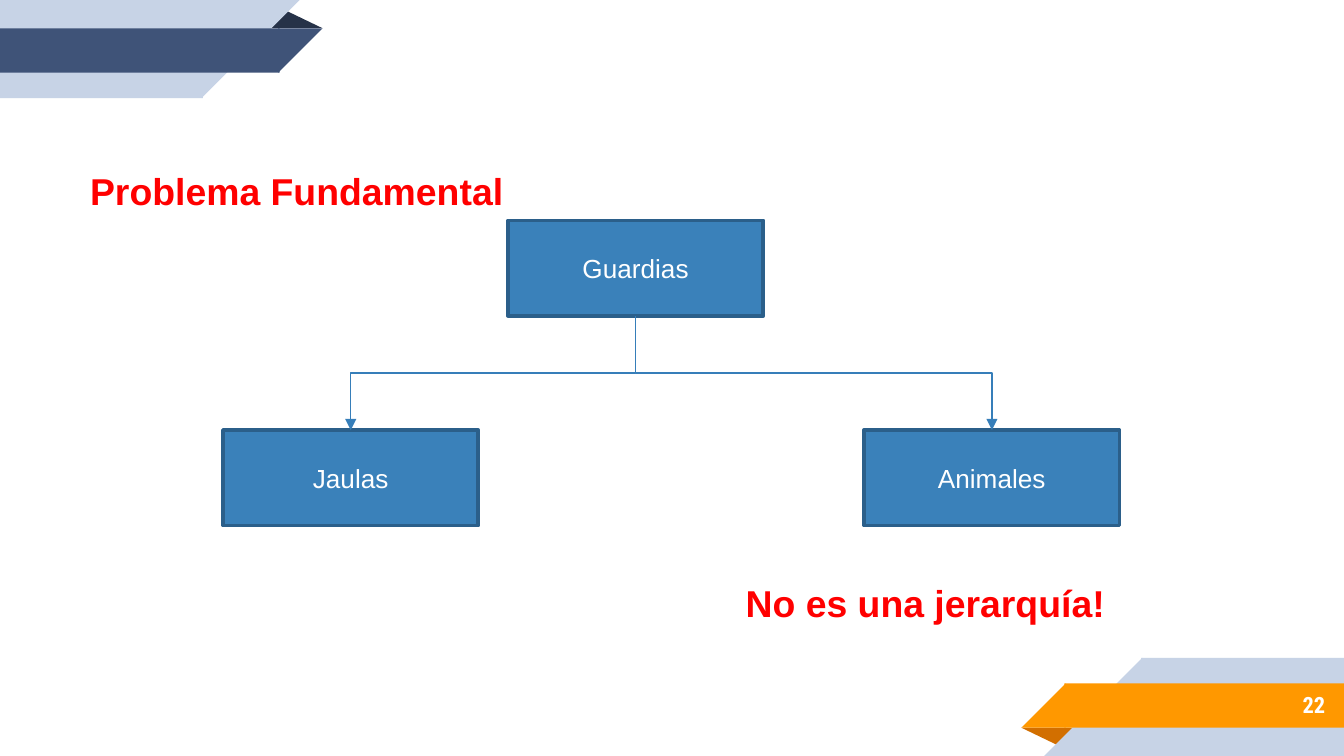
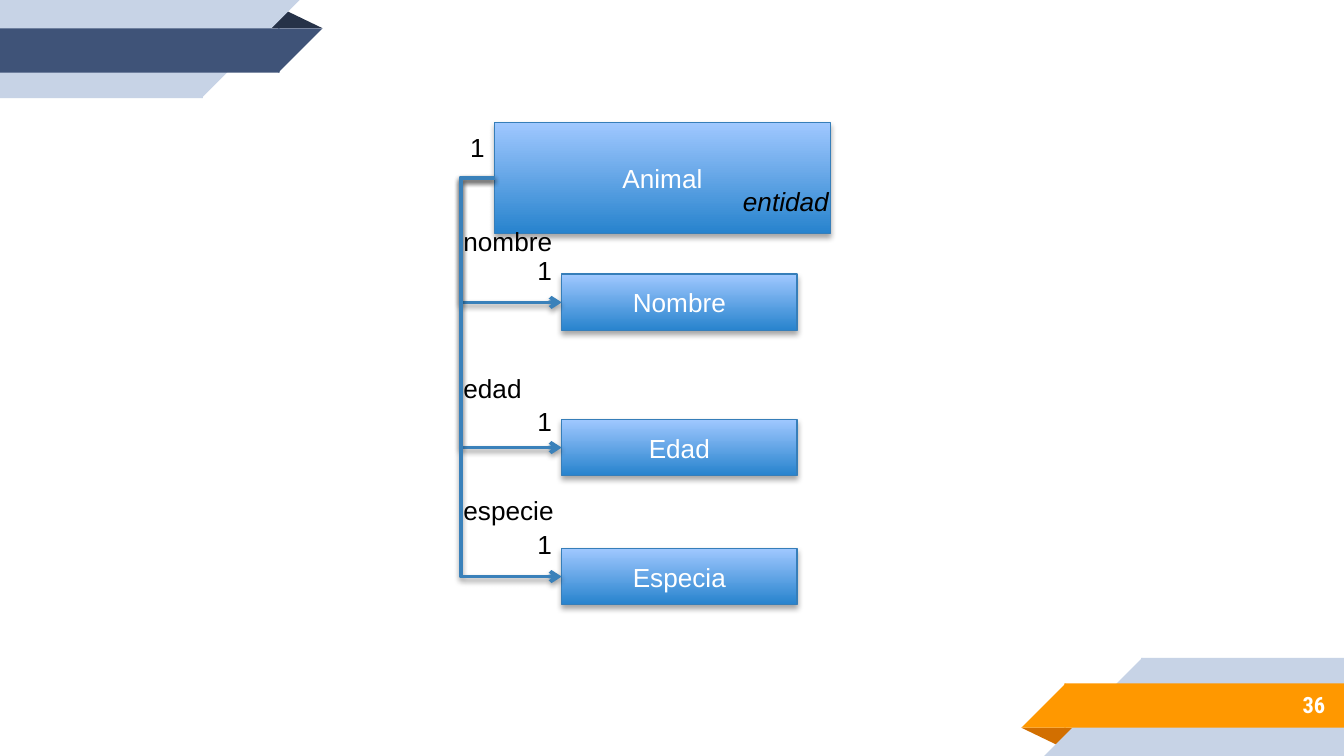
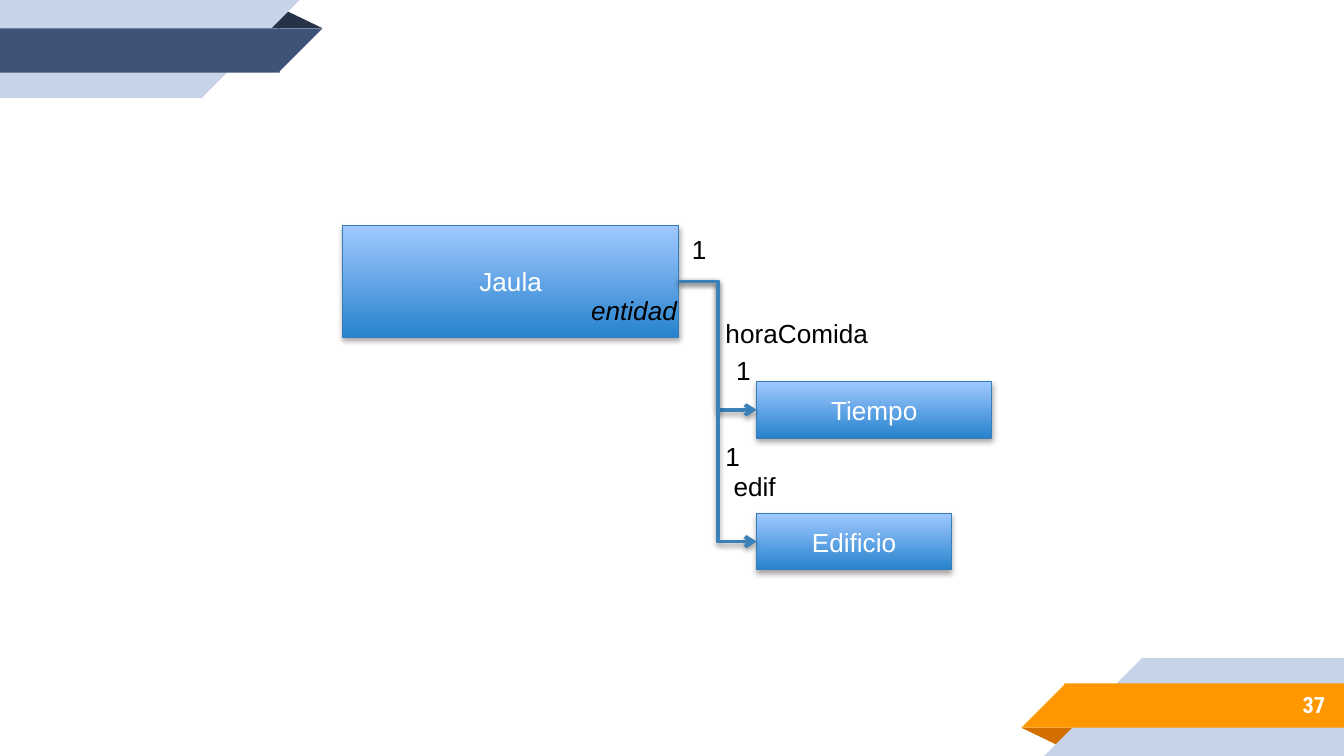
from lxml.etree import SubElement
from pptx import Presentation
from pptx.dml.color import RGBColor
from pptx.enum.shapes import MSO_CONNECTOR, MSO_SHAPE
from pptx.enum.text import MSO_ANCHOR, MSO_AUTO_SIZE, PP_ALIGN
from pptx.oxml.ns import qn
from pptx.util import Inches, Pt

# Shared style
WIDTH = 10
HEIGHT = WIDTH * 9 / 16
TITLE_ONLY, BLANK = 5, 6
WHITE = RGBColor(0xFF, 0xFF, 0xFF)
BLACK = RGBColor(0x00, 0x00, 0x00)
RED = RGBColor(0xFF, 0x00, 0x00)
PALE = RGBColor(0xC7, 0xD3, 0xE6)
ORANGE = RGBColor(0xFF, 0x98, 0x00)
DARK_ORANGE = RGBColor(0xD2, 0x6F, 0x00)
NAVY = RGBColor(0x3F, 0x53, 0x78)
DARK_NAVY = RGBColor(0x26, 0x32, 0x48)
BLUE = RGBColor(0x3A, 0x81, 0xBA)
EDGE_BLUE = RGBColor(0x36, 0x7E, 0xB9)
DARK_BLUE = RGBColor(0x2B, 0x5F, 0x8A)
GRADIENT = RGBColor(0x27, 0x83, 0xCD), RGBColor(0xA0, 0xC8, 0xFF)

# Content: positions are (left, top) in inches
HIERARCHY = {
    "number": "22",
    "title": ("Problema Fundamental", 0.57, 1.2, 3.3),
    "remark": ("No es una jerarquía!", 5.45, 4.27, 2.9),
    "box": (1.9, 0.71),
    "parent": ("Guardias", 3.78, 1.64),
    "children": [("Jaulas", 1.66, 3.2), ("Animales", 6.43, 3.2)],
}
# Attribute: box text, box position, box width, label, label position, count position
ENTITIES = [
    {
        "number": "36",
        "entity": ("Animal", 3.68, 0.91),
        "side": "left",
        "count": (3.4, 0.93),
        "kind": (5.43, 1.33),
        "attributes": [
            ("Nombre", (4.18, 2.04), 1.75, "nombre", (3.35, 1.63), (3.9, 1.84)),
            ("Edad", (4.18, 3.12), 1.75, "edad", (3.35, 2.72), (3.9, 2.97)),
            ("Especia", (4.18, 4.08), 1.75, "especie", (3.35, 3.63), (3.9, 3.88)),
        ],
    },
    {
        "number": "37",
        "entity": ("Jaula", 2.55, 1.68),
        "side": "right",
        "count": (5.05, 1.69),
        "kind": (4.3, 2.14),
        "attributes": [
            ("Tiempo", (5.63, 2.84), 1.75, "horaComida", (5.3, 2.31), (5.38, 2.59)),
            ("Edificio", (5.63, 3.82), 1.45, "edif", (5.36, 3.45), (5.3, 3.23)),
        ],
    },
]
ENTITY_SIZE = (2.5, 0.83)
ATTRIBUTE_HEIGHT = 0.42

# Corner ribbon at the bottom right: shape, left, rise above the slide's foot,
# width, height, colour role, flipped. Rectangles overlap their triangles a little.
RIBBON = [
    (MSO_SHAPE.ISOSCELES_TRIANGLE, 7.6, 0.21, 0.43, 0.14, "fold", False),
    (MSO_SHAPE.RECTANGLE, 8.49, 0.73, 1.51, 0.73, "back", True),
    (MSO_SHAPE.RIGHT_TRIANGLE, 7.77, 0.73, 0.73, 0.73, "back", True),
    (MSO_SHAPE.RECTANGLE, 7.92, 0.54, 2.08, 0.33, "front", True),
    (MSO_SHAPE.RIGHT_TRIANGLE, 7.6, 0.54, 0.33, 0.33, "front", True),
]


def inches(*lengths):
    return [Inches(length) for length in lengths]


def set_effects(part, alpha=0, distance=0):
    """Give a part a soft downward shadow, or none when alpha is 0."""
    effects = SubElement(part.element.spPr, qn("a:effectLst"))
    if alpha:
        shadow = SubElement(effects, qn("a:outerShdw"), blurRad=str(Pt(3.1)),
                            dist=str(Pt(distance)), dir="5400000", rotWithShape="0")
        color = SubElement(shadow, qn("a:srgbClr"), val=str(BLACK))
        SubElement(color, qn("a:alpha"), val=str(alpha * 1000))


def write(part, text, size=14, color=BLACK, font="Arial", bold=False, italic=False,
          align=PP_ALIGN.LEFT, anchor=MSO_ANCHOR.TOP, wrap=False, grow=True, inset=0.05):
    frame = part.text_frame
    frame.word_wrap = wrap
    frame.auto_size = MSO_AUTO_SIZE.SHAPE_TO_FIT_TEXT if grow else MSO_AUTO_SIZE.NONE
    frame.vertical_anchor = anchor
    frame.margin_left = frame.margin_right = Inches(0.1)
    frame.margin_top = frame.margin_bottom = Inches(inset)
    paragraph = frame.paragraphs[0]
    paragraph.alignment = align
    run = paragraph.add_run()
    run.text = text
    run.font.name, run.font.size = font, Pt(size)
    run.font.bold, run.font.italic = bold, italic
    run.font.color.rgb = color


def add_label(slide, text, left, top, width=0.33, height=0.34, **style):
    label = slide.shapes.add_textbox(*inches(left, top, width, height))
    write(label, text, **style)


def add_box(slide, text, left, top, width, height, glossy=True):
    box = slide.shapes.add_shape(MSO_SHAPE.RECTANGLE, *inches(left, top, width, height))
    if glossy:
        box.fill.gradient()
        box.fill.gradient_angle = 90
        for stop, color in zip(box.fill.gradient_stops, GRADIENT):
            stop.color.rgb = color
    else:
        box.fill.solid()
        box.fill.fore_color.rgb = BLUE
    box.line.color.rgb = EDGE_BLUE if glossy else DARK_BLUE
    box.line.width = Pt(0.75 if glossy else 2)
    set_effects(box, 35 if glossy else 0, 1.8)
    write(box, text, color=WHITE, align=PP_ALIGN.CENTER, anchor=MSO_ANCHOR.MIDDLE,
          wrap=True, grow=False)


def add_elbow(slide, start, end, color, width, head):
    elbow = slide.shapes.add_connector(MSO_CONNECTOR.ELBOW, *inches(*start, *end))
    elbow.line.color.rgb = color
    elbow.line.width = Pt(width)
    SubElement(elbow.element.spPr.find(qn("a:ln")), qn("a:tailEnd"), type=head)
    return elbow


def add_down_elbow(slide, start, end):
    """An elbow that leaves downwards: a sideways elbow turned a quarter."""
    (x1, y1), (x2, y2) = start, end
    middle_x, middle_y = (x1 + x2) / 2, (y1 + y2) / 2
    drop, reach = (y2 - y1) / 2, abs(x2 - x1) / 2
    turn = 90 if x2 < x1 else 270
    side = drop if turn == 90 else -drop
    elbow = add_elbow(slide, (middle_x - side, middle_y - reach),
                      (middle_x + side, middle_y + reach), EDGE_BLUE, 0.75, "triangle")
    elbow.element.spPr.find(qn("a:xfrm")).set("rot", str(turn * 60000))
    set_effects(elbow)


def add_side_elbow(slide, start, end, bend):
    elbow = add_elbow(slide, start, end, BLUE, 2, "arrow")
    geometry = elbow.element.spPr.find(qn("a:prstGeom"))
    guides = geometry.find(qn("a:avLst"))
    if guides is None:
        guides = SubElement(geometry, qn("a:avLst"))
    SubElement(guides, qn("a:gd"), name="adj1", fmla=f"val {int(bend * 100000)}")
    set_effects(elbow, 38, 1.6)


def add_ribbon(slide, colors, opposite):
    """Draw the ribbon, turned half round the slide's centre if opposite."""
    ribbon = slide.shapes.add_group_shape()
    for kind, left, rise, width, height, role, flipped in RIBBON:
        top = HEIGHT - rise
        if opposite:
            left, top = WIDTH - left - width, rise - height
        piece = ribbon.shapes.add_shape(kind, *inches(left, top, width, height))
        piece.rotation = 180 if opposite == flipped else 0
        if flipped:
            piece.element.spPr.find(qn("a:xfrm")).set("flipH", "1")
        else:
            piece.adjustments[0] = 0.324
        piece.fill.solid()
        piece.fill.fore_color.rgb = colors[role]
        piece.line.fill.background()
        piece.shadow.inherit = False
    return ribbon


def decorate_master(prs, slide):
    """Build both ribbons on a slide, then hand them to the master."""
    ribbons = [
        add_ribbon(slide, {"fold": DARK_ORANGE, "back": PALE, "front": ORANGE}, False),
        add_ribbon(slide, {"fold": DARK_NAVY, "back": PALE, "front": NAVY}, True),
    ]
    for ribbon in ribbons:
        for properties in ribbon.element.iter(qn("p:cNvPr")):
            properties.set("id", str(int(properties.get("id")) + 100))
        prs.slide_master.shapes.element.append(ribbon.element)


def add_number(slide, number):
    add_label(slide, number, 8.33, 5.07, 1.63, 0.35, size=12, color=WHITE, bold=True,
              font="Roboto Condensed", align=PP_ALIGN.RIGHT, anchor=MSO_ANCHOR.MIDDLE,
              wrap=True, grow=False, inset=0.1)


def fill_hierarchy(slide, content):
    add_number(slide, content["number"])
    heading = {"size": 20, "color": RED, "bold": True}
    text, left, top, width = content["title"]
    title = slide.shapes.title
    title.left, title.top, title.width, title.height = inches(left, top, width, 0.44)
    write(title, text, **heading)

    width, height = content["box"]
    _, left, top = content["parent"]
    add_box(slide, *content["parent"], width, height, glossy=False)
    for name, child_left, child_top in content["children"]:
        add_box(slide, name, child_left, child_top, width, height, glossy=False)
        add_down_elbow(slide, (left + width / 2, top + height),
                       (child_left + width / 2, child_top))
    add_label(slide, *content["remark"], 0.44, **heading)


def fill_entity(slide, content):
    add_number(slide, content["number"])
    name, left, top = content["entity"]
    width, height = ENTITY_SIZE
    on_right = content["side"] == "right"
    start = (left + width if on_right else left, top + height / 2)
    bend = 0.5 if on_right else -0.5
    add_box(slide, name, left, top, width, height)
    # Boxes and arrows first, so the labels stay on top
    for name, (x, y), box_width, *_ in content["attributes"]:
        add_box(slide, name, x, y, box_width, ATTRIBUTE_HEIGHT)
        add_side_elbow(slide, start, (x, y + ATTRIBUTE_HEIGHT / 2), bend)
    for *_, label, label_at, count_at in content["attributes"]:
        add_label(slide, label, *label_at, width=0.2 + 0.11 * len(label))
        add_label(slide, "1", *count_at, height=0.4)
    add_label(slide, "1", *content["count"], height=0.4)
    add_label(slide, "entidad", *content["kind"], width=0.9, italic=True, wrap=True)


def main():
    prs = Presentation()
    prs.slide_width, prs.slide_height = inches(WIDTH, HEIGHT)
    hierarchy = prs.slides.add_slide(prs.slide_layouts[TITLE_ONLY])
    decorate_master(prs, hierarchy)
    fill_hierarchy(hierarchy, HIERARCHY)
    for content in ENTITIES:
        fill_entity(prs.slides.add_slide(prs.slide_layouts[BLANK]), content)
    prs.save("out.pptx")


if __name__ == "__main__":
    main()
